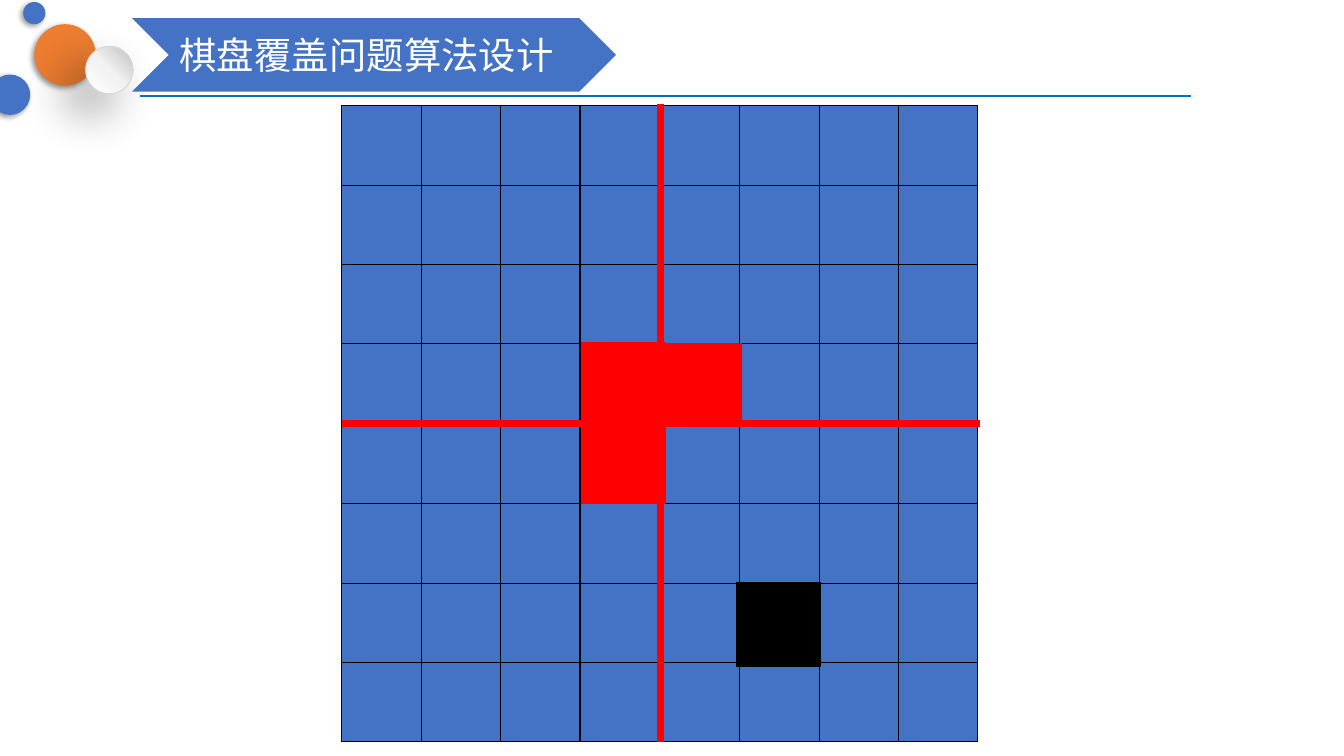
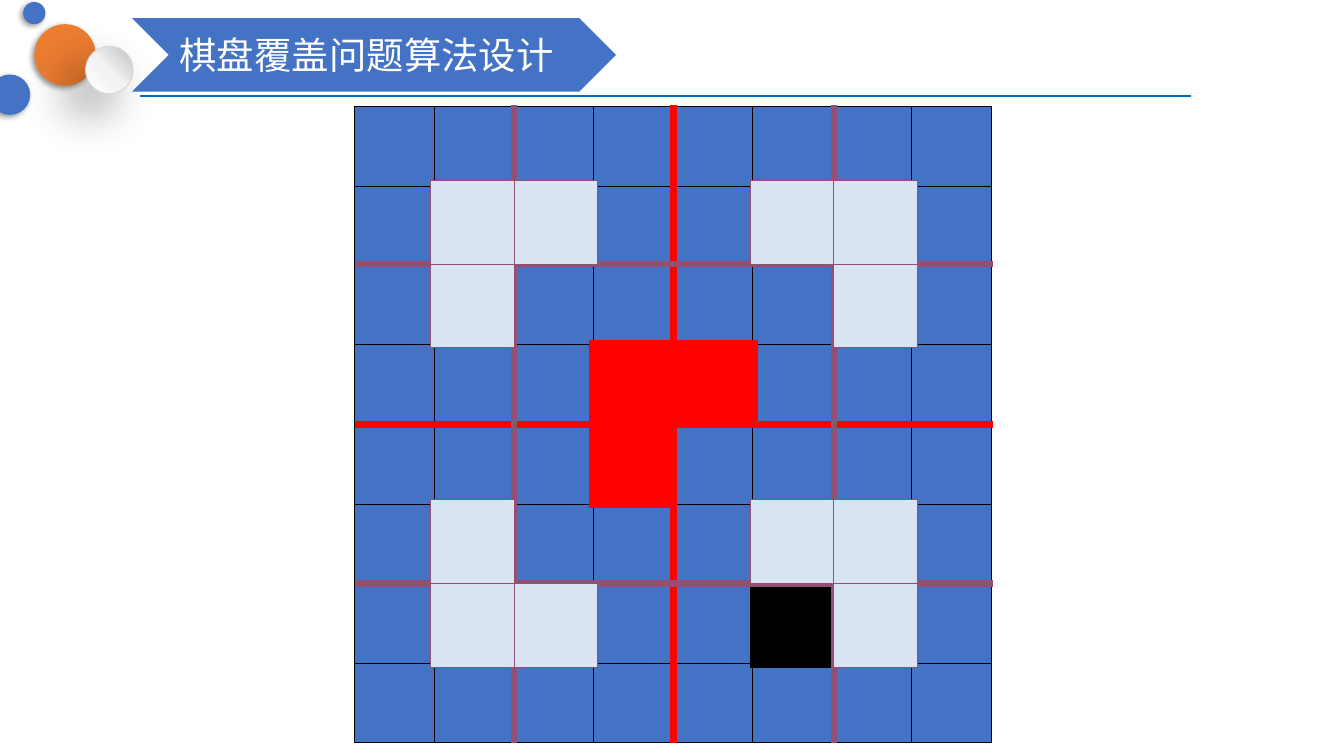
"""Build two slides that explain the chessboard covering algorithm."""
from lxml import etree
from pptx import Presentation
from pptx import util as u
from pptx.dml.color import RGBColor
from pptx.enum import shapes, text
from pptx.oxml import parse_xml
from pptx.oxml.ns import nsdecls, qn

COLORS = {
    "blue": "4472C4", "orange": "ED7D31", "rule": "0070C0", "silver": "D9D9D9",
    "black": "000000", "red": "FF0000", "plum": "954F72", "pale": "DAE3F3",
    "white": "FFFFFF",
}
TITLE = "棋盘覆盖问题算法设计"
FONT = "Noto Sans CJK SC"
RECTANGLE = shapes.MSO_SHAPE.RECTANGLE
QUADRANT, PITCH, TILE = 3.15, 3.16, 0.83
CELL = QUADRANT / 4
REACH = 6.33


def add_box(slide, kind, box, fill, line=None):
    shape = slide.shapes.add_shape(kind, *map(u.Inches, box))
    shape.shadow.inherit = False
    if fill:
        shape.fill.solid()
        shape.fill.fore_color.rgb = RGBColor.from_string(COLORS[fill])
    if line:
        shape.line.color.rgb = RGBColor.from_string(COLORS[line])
        shape.line.width = u.Pt(0.75)
    else:
        shape.line.fill.background()
    return shape


def add_line(slide, start, end, color, width):
    connector = slide.shapes.add_connector(
        shapes.MSO_CONNECTOR.STRAIGHT, *map(u.Inches, (*start, *end)))
    connector.line.color.rgb = RGBColor.from_string(COLORS[color])
    connector.line.width = u.Pt(width)
    etree.SubElement(connector.element.spPr, qn("a:effectLst"))


presentation = Presentation()
presentation.slide_width = u.Inches(13.33)
presentation.slide_height = u.Inches(7.5)
layout = presentation.slide_layouts[5]
for placeholder in list(layout.placeholders):
    if placeholder.placeholder_format.idx:
        placeholder.element.getparent().remove(placeholder.element)
slides = [presentation.slides.add_slide(layout) for _ in range(2)]

first = slides[0]
add_line(first, (1.39, 0.95), (11.81, 0.95), "rule", 1.25)
bubbles = [
    ((0.34, 0.24, 0.61, 0.61), "orange", None, 4, 2),
    ((-0.1, 0.74, 0.4, 0.4), "blue", None, 4, 2),
    ((0.85, 0.46, 0.47, 0.47), None, "silver", 35, 20),
    ((0.23, 0.02, 0.22, 0.22), "blue", None, 4, 2),
]
for box, fill, line, blur, distance in bubbles:
    bubble = add_box(first, shapes.MSO_SHAPE.OVAL, box, fill, line)
    properties = bubble.element.spPr
    properties.find(qn("a:effectLst")).append(parse_xml(
        f'<a:outerShdw {nsdecls("a")} blurRad="{u.Pt(blur)}" dist="{u.Pt(distance)}" '
        'dir="8100000" algn="tr" rotWithShape="0"><a:srgbClr val="000000">'
        '<a:alpha val="40000"/></a:srgbClr></a:outerShdw>'))
    if not fill:
        stops = "".join(
            f'<a:gs pos="{position}"><a:srgbClr val="{color}"/></a:gs>'
            for position, color in ((0, "FFFFFF"), (50000, "F2F2F2"), (100000, "BFBFBF")))
        properties.find(qn("a:prstGeom")).addnext(parse_xml(
            f'<a:gradFill {nsdecls("a")}><a:gsLst>{stops}</a:gsLst>'
            '<a:lin ang="18900000" scaled="0"/></a:gradFill>'))
add_box(first, shapes.MSO_SHAPE.CHEVRON, (1.31, 0.18, 4.8, 0.73), "blue")
for shape in list(first.shapes):
    if not shape.is_placeholder:
        layout.shapes.element.append(shape.element)

boards = [(3.39, 1.05), (3.52, 1.06)]
for slide, (left, top) in zip(slides, boards):
    title = slide.shapes.title
    title.left, title.top = u.Inches(1.68), u.Inches(0.18)
    title.width, title.height = u.Inches(4.06), u.Inches(0.73)
    frame = title.text_frame
    frame.word_wrap = True
    frame.auto_size = text.MSO_AUTO_SIZE.NONE
    frame.vertical_anchor = text.MSO_ANCHOR.MIDDLE
    paragraph = frame.paragraphs[0]
    paragraph.alignment = text.PP_ALIGN.LEFT
    run = paragraph.add_run()
    run.text = TITLE
    run.font.size = u.Pt(26.7)
    run.font.name = FONT
    run.font.color.rgb = RGBColor.from_string(COLORS["white"])
    etree.SubElement(run.font._element, qn("a:ea"), typeface=FONT)

    for column, row in ((0, 0), (1, 0), (1, 1), (0, 1)):
        x, y = left + column * PITCH, top + row * PITCH
        add_box(slide, RECTANGLE, (x, y, QUADRANT, QUADRANT), "blue", "black")
        for step in (1, 2, 3):
            offset = step * CELL
            add_line(slide, (x + offset, y), (x + offset, y + QUADRANT), "black", 0.75)
            add_line(slide, (x, y + offset), (x + QUADRANT, y + offset), "black", 0.75)

    add_box(slide, RECTANGLE, (left + 3.92, top + 4.73, TILE, TILE), "black", "black")
    middle_x, middle_y = left + PITCH, top + QUADRANT
    cuts = [("red", middle_x, middle_y)]
    trominoes = []
    if slide is first:
        for box in ((6.6, 3.41, 0.76, 0.82), (5.77, 3.4, TILE, TILE), (5.77, 4.23, TILE, 0.77)):
            trominoes.append((box, "red", "red"))
    else:
        near_x, far_x = left + 1.58, left + 4.75
        near_y, far_y = top + 1.56, top + 4.73
        cuts += [("plum", near_x, near_y), ("plum", far_x, far_y)]
        corners = [
            (middle_x, middle_y, (0, 0), "red", "red"),
            (near_x, near_y, (0, 0), "pale", "plum"),
            (far_x, near_y, (-1, 0), "pale", "plum"),
            (near_x, far_y, (0, -1), "pale", "plum"),
            (far_x, far_y, (-1, 0), "pale", "plum"),
        ]
        for x, y, gap, fill, line in corners:
            for cell in ((0, -1), (-1, -1), (-1, 0), (0, 0)):
                if cell != gap:
                    box = (x + cell[0] * TILE, y + cell[1] * TILE, TILE, TILE)
                    trominoes.append((box, fill, line))

    for color, x, y in cuts:
        add_line(slide, (left, y), (left + REACH, y), color, 4.5)
        add_line(slide, (x, top - 0.02), (x, top - 0.02 + REACH), color, 4.5)
    for box, fill, line in trominoes:
        add_box(slide, RECTANGLE, box, fill, line)

presentation.save("out.pptx")
